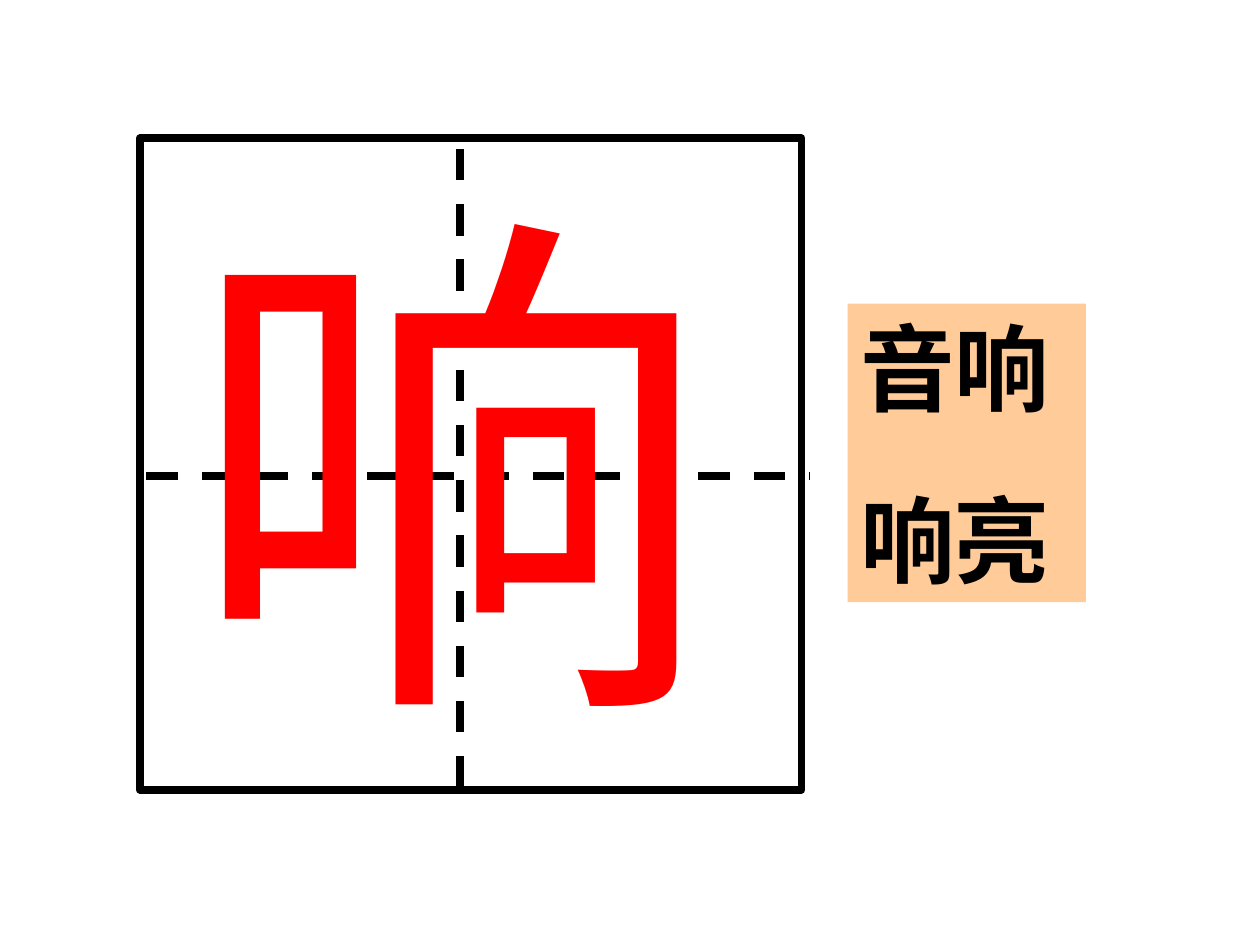
from pptx import Presentation
from pptx.dml.color import RGBColor
from pptx.enum.dml import MSO_LINE
from pptx.enum.shapes import MSO_CONNECTOR, MSO_SHAPE
from pptx.enum.text import MSO_ANCHOR, PP_ALIGN
from pptx.oxml.ns import qn
from pptx.util import Cm, Pt
from lxml import etree

RECT = MSO_SHAPE.RECTANGLE
LINE = MSO_CONNECTOR.STRAIGHT
DASH = MSO_LINE.DASH
TOP = MSO_ANCHOR.TOP
LEFT = PP_ALIGN.LEFT

BLACK = RGBColor(0x00, 0x00, 0x00)
RED = RGBColor(0xFF, 0x00, 0x00)
PEACH = RGBColor(0xFF, 0xCC, 0x99)
FONT = "Times New Roman"
THICK = Pt(4.5)

prs = Presentation()
prs.slide_width, prs.slide_height = Cm(25.4), Cm(19.05)
slide = prs.slides.add_slide(prs.slide_layouts[6])

# Writing grid: square frame with dashed centre lines
grid = slide.shapes.add_group_shape()
frame = grid.shapes.add_shape(RECT, Cm(2.82), Cm(2.79), Cm(13.34), Cm(13.13))
frame.shadow.inherit = False
frame.fill.background()
frame.line.color.rgb = BLACK
frame.line.width = THICK

for x1, y1, x2, y2 in [(2.95, 9.6, 16.31, 9.6), (9.27, 3, 9.27, 16.13)]:
    guide = grid.shapes.add_connector(LINE, Cm(x1), Cm(y1), Cm(x2), Cm(y2))
    guide.line.color.rgb = BLACK
    guide.line.width = THICK
    guide.line.dash_style = DASH
    etree.SubElement(guide._element.spPr, qn("a:effectLst"))

# Large character
box = slide.shapes.add_textbox(Cm(3.51), Cm(2.72), Cm(11.4), Cm(12.95))
box.text_frame.word_wrap = True
glyph = box.text_frame.paragraphs[0]
glyph.text = "响"
glyph.font.name = FONT
glyph.font.size = Pt(300)
glyph.font.color.rgb = RED

# Example words
card = slide.shapes.add_shape(RECT, Cm(17.09), Cm(6.12), Cm(4.8), Cm(6.02))
card.shadow.inherit = False
card.fill.solid()
card.fill.fore_color.rgb = PEACH
card.line.fill.background()
words = card.text_frame
words.word_wrap = True
words.vertical_anchor = TOP
words.text = "音响\n响亮"
for para in words.paragraphs:
    para.alignment = LEFT
    para.font.name = FONT
    para.font.size = Pt(54)
    para.font.bold = True
    para.font.color.rgb = BLACK
words.paragraphs[1].space_before = Pt(33.8)

prs.save("out.pptx")
